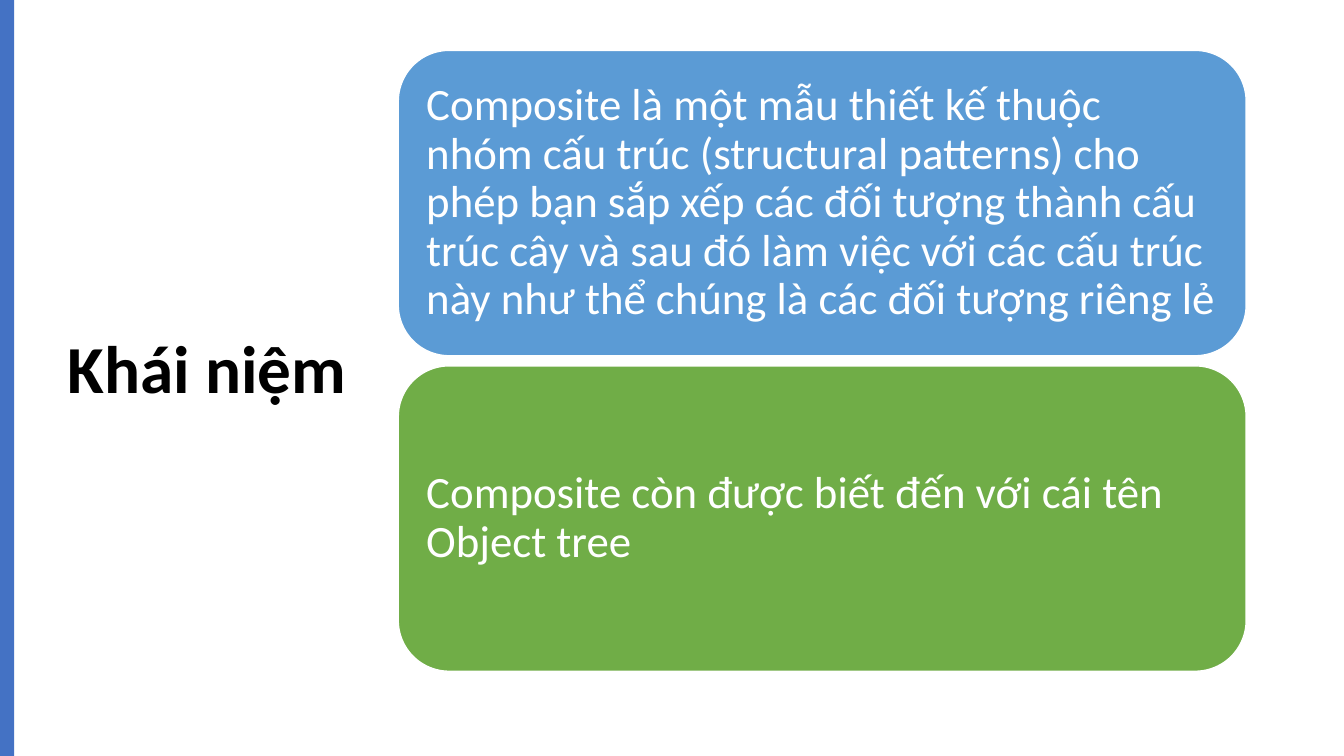
from pptx import Presentation
from pptx import util as u
from pptx.dml.color import RGBColor
from pptx.enum import shapes, text

COLORS = {
    "accent": "4472C4",
    "definition": "5B9BD5",
    "alias": "70AD47",
    "title": "000000",
    "white": "FFFFFF",
}
FONT = "Calibri"
CARD_LEFT, CARD_TOP = 3.95, 0.5
CARD_WIDTH, CARD_HEIGHT = 8.41, 3.03
CARD_STEP = 3.13
CARD_INSET = 0.13

CARDS = [
    ("definition", "Composite là một mẫu thiết kế thuộc nhóm cấu trúc (structural patterns) "
                   "cho phép bạn sắp xếp các đối tượng thành cấu trúc cây và sau đó làm việc "
                   "với các cấu trúc này như thể chúng là các đối tượng riêng lẻ"),
    ("alias", "Composite còn được biết đến với cái tên Object tree"),
]


def color(name):
    return RGBColor.from_string(COLORS[name])


def write(frame, wording, size, color_name, bold=False):
    frame.word_wrap = True
    frame.auto_size = text.MSO_AUTO_SIZE.NONE
    frame.vertical_anchor = text.MSO_ANCHOR.MIDDLE
    frame.text = wording
    paragraph = frame.paragraphs[0]
    paragraph.alignment = text.PP_ALIGN.LEFT
    paragraph.line_spacing = 0.9
    paragraph.font.name = FONT
    paragraph.font.size = u.Pt(size)
    paragraph.font.bold = bold
    paragraph.font.color.rgb = color(color_name)


def add_title(slide, wording):
    title = slide.shapes.title
    title.left, title.top = u.Inches(0.57), u.Inches(0.68)
    title.width, title.height = u.Inches(5.67), u.Inches(6.02)
    write(title.text_frame, wording, 48, "title", bold=True)


def add_block(slide, preset, left, top, width, height, fill):
    block = slide.shapes.add_shape(
        preset, u.Inches(left), u.Inches(top), u.Inches(width), u.Inches(height))
    block.shadow.inherit = False
    block.fill.solid()
    block.fill.fore_color.rgb = color(fill)
    block.line.fill.background()
    return block


def add_card(slide, top, fill, wording):
    card = add_block(slide, shapes.MSO_SHAPE.ROUNDED_RECTANGLE,
                     CARD_LEFT, top, CARD_WIDTH, CARD_HEIGHT, fill)
    card.line.color.rgb = color("white")
    card.line.width = u.Pt(1)
    frame = card.text_frame
    frame.margin_left = frame.margin_right = u.Inches(CARD_INSET)
    frame.margin_top = frame.margin_bottom = u.Inches(CARD_INSET)
    write(frame, wording, 32, "white")


def main():
    deck = Presentation()
    deck.slide_width, deck.slide_height = u.Inches(13.33), u.Inches(7.5)
    slide = deck.slides.add_slide(deck.slide_layouts.get_by_name("Title Only"))
    add_title(slide, "Khái niệm")
    add_block(slide, shapes.MSO_SHAPE.RECTANGLE, 0, 0, 0.14, 7.5, "accent")
    for row, (fill, wording) in enumerate(CARDS):
        add_card(slide, CARD_TOP + row * CARD_STEP, fill, wording)
    deck.save("out.pptx")


main()
